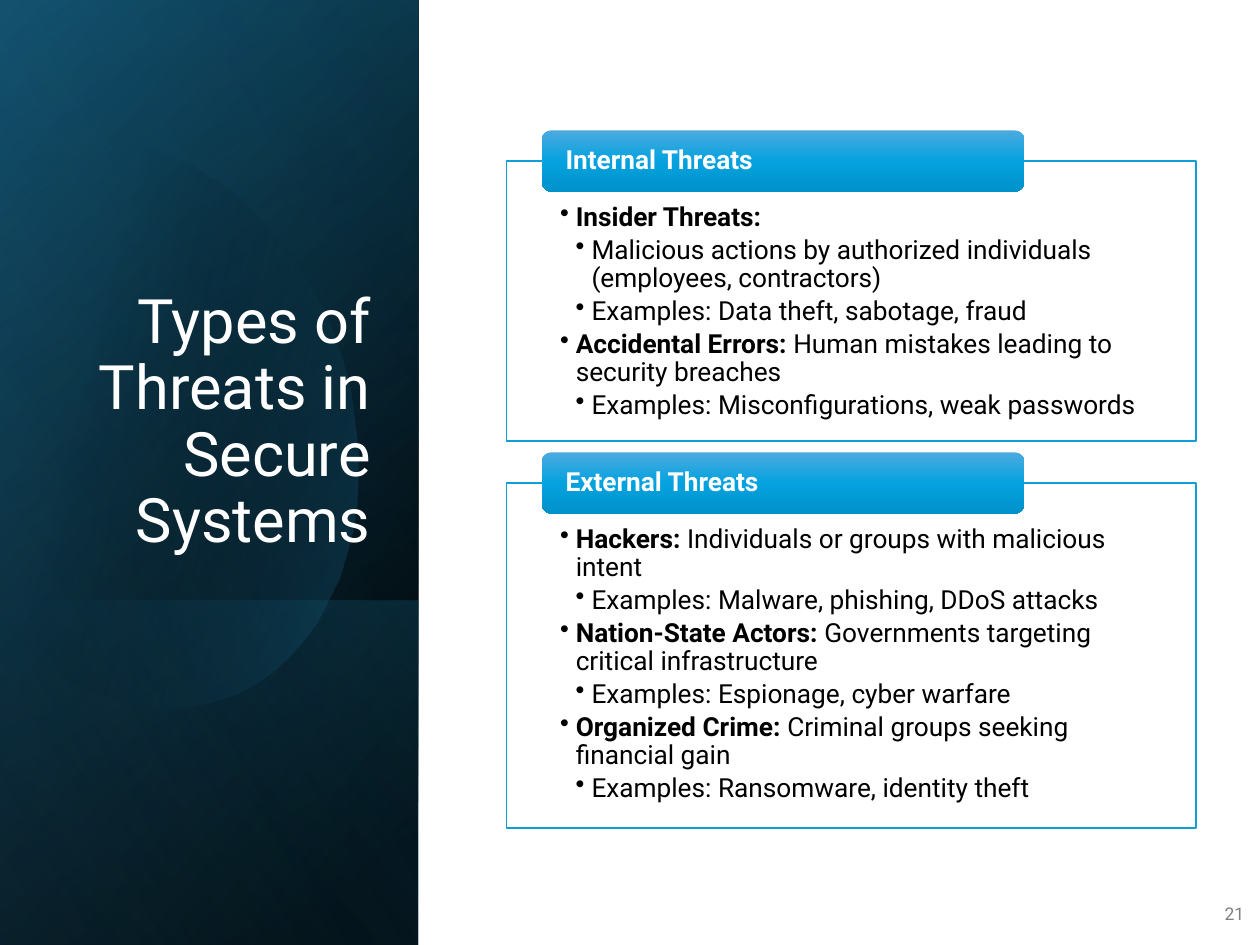
from dataclasses import dataclass

from pptx import Presentation
from pptx.dml import color as c
from pptx.enum import shapes as s, text as t
from pptx.oxml import ns, xmlchemy as x
from pptx.util import Pt

WHITE = c.RGBColor(0xFF, 0xFF, 0xFF)
BLACK = c.RGBColor(0x00, 0x00, 0x00)
GRAY = c.RGBColor(0x80, 0x80, 0x80)
SKY = c.RGBColor(0x0F, 0x9E, 0xD5)
NAVY = c.RGBColor(0x10, 0x48, 0x62)
TEAL = c.RGBColor(0x15, 0x60, 0x82)
AQUA = c.RGBColor(0x46, 0xB1, 0xE1)
LIGHT = c.RGBColor(0x4C, 0xAA, 0xDF)
BLUE = c.RGBColor(0x05, 0xA2, 0xDF)
DEEP = c.RGBColor(0x00, 0x92, 0xCB)
FACE = "Roboto"


@dataclass(frozen=True)
class Stop:
    pos: int
    color: c.RGBColor
    alpha: int = 100


@dataclass(frozen=True)
class Layer:
    top: float
    high: float
    angle: int
    stops: tuple[Stop, ...]


@dataclass(frozen=True)
class Item:
    level: int
    bold: str
    plain: str


@dataclass(frozen=True)
class Card:
    top: float
    high: float
    title: str
    items: tuple[Item, ...]


WIDE, HIGH, SIDE = 720, 540, 239
LAYERS = (
    Layer(0, HIGH, 50, (Stop(8, BLACK), Stop(100, NAVY))),
    Layer(0, HIGH, 30, (Stop(0, BLACK, 0), Stop(99, TEAL, 46))),
    Layer(343, 197, 130, (Stop(2, TEAL, 29), Stop(100, BLACK, 30))),
)
GLOSS = Layer(0, HIGH, 120, (Stop(0, BLACK, 0), Stop(99, AQUA, 11)))
GLOW = (Stop(29, BLACK, 0), Stop(100, TEAL, 43))
TAB = (Stop(0, LIGHT), Stop(50, BLUE), Stop(100, DEEP))
CURVES = (
    ((69, 82), (123, 88), (176, 138), (197, 209)),
    ((197, 209), (221, 297), (189, 382), (123, 401)),
    ((123, 401), (82, 413), (38, 396), (5, 360)),
    ((0, 111), (9, 97), (20, 89), (32, 85)),
    ((32, 85), (45, 81), (57, 80), (69, 82)),
)
CARDS = (
    Card(92, 160, "Internal Threats", (
        Item(0, "Insider Threats:", ""),
        Item(1, "", "Malicious actions by authorized individuals (employees, contractors)"),
        Item(1, "", "Examples: Data theft, sabotage, fraud"),
        Item(0, "Accidental Errors:", " Human mistakes leading to security breaches"),
        Item(1, "", "Examples: Misconfigurations, weak passwords"),
    )),
    Card(276, 197, "External Threats", (
        Item(0, "Hackers:", " Individuals or groups with malicious intent"),
        Item(1, "", "Examples: Malware, phishing, DDoS attacks"),
        Item(0, "Nation-State Actors:", " Governments targeting critical infrastructure"),
        Item(1, "", "Examples: Espionage, cyber warfare"),
        Item(0, "Organized Crime:", " Criminal groups seeking financial gain"),
        Item(1, "", "Examples: Ransomware, identity theft"),
    )),
)


def add(node, tag: str, **attrs):
    kid = x.OxmlElement(tag)
    for key, val in attrs.items():
        kid.set(key, str(val))
    node.append(kid)
    return kid


def shade(shape, stops: tuple[Stop, ...], angle: int) -> None:
    shape.shadow.inherit = False
    shape.line.fill.background()
    shape.fill.background()
    grad = x.OxmlElement("a:gradFill")
    grad.set("rotWithShape", "1")
    group = add(grad, "a:gsLst")
    for stop in stops:
        mark = add(group, "a:gs", pos=stop.pos * 1000)
        tint = add(mark, "a:srgbClr", val=stop.color)
        if stop.alpha < 100:
            add(tint, "a:alpha", val=stop.alpha * 1000)
    add(grad, "a:lin", ang=angle * 60000, scaled=0)
    prop = shape._element.spPr
    prop.replace(prop.find(ns.qn("a:noFill")), grad)


def draw_layer(slide, layer: Layer) -> None:
    shift = (SIDE - layer.high) / 2
    shape = slide.shapes.add_shape(
        s.MSO_SHAPE.RECTANGLE, Pt(shift), Pt(layer.top - shift), Pt(layer.high), Pt(SIDE))
    shape.rotation = 90
    shape._element.spPr.find(ns.qn("a:xfrm")).set("flipH", "1")
    shade(shape, layer.stops, layer.angle)


def trace(curve: tuple, steps: int = 16) -> list[tuple[float, float]]:
    dots = []
    for step in range(steps + 1):
        k = step / steps
        parts = ((1 - k) ** 3, 3 * k * (1 - k) ** 2, 3 * k * k * (1 - k), k ** 3)
        dots.append(tuple(sum(p * dot[axis] for p, dot in zip(parts, curve)) for axis in (0, 1)))
    return dots


def draw_glow(slide) -> None:
    dots = [dot for curve in CURVES[:3] for dot in trace(curve)]
    dots.append((0, 354))
    dots += [dot for curve in CURVES[3:] for dot in trace(curve)]
    path = slide.shapes.build_freeform(*dots[0], scale=Pt(1))
    path.add_line_segments(dots[1:], close=True)
    shade(path.convert_to_shape(), GLOW, 14)


def style(para, size: float, color: c.RGBColor, align=t.PP_ALIGN.LEFT) -> None:
    para.alignment = align
    font = para.font
    font.name, font.size, font.color.rgb = FACE, Pt(size), color


def set_box(frame, left: float, top: float, right: float, low: float, anchor) -> None:
    frame.word_wrap = True
    frame.margin_left, frame.margin_top = Pt(left), Pt(top)
    frame.margin_right, frame.margin_bottom = Pt(right), Pt(low)
    frame.vertical_anchor = anchor


def draw_label(slide, box: tuple, words: str, size: float, color: c.RGBColor, anchor) -> None:
    frame = slide.shapes.add_textbox(*map(Pt, box)).text_frame
    set_box(frame, 7.2, 3.6, 7.2, 3.6, anchor)
    para = frame.paragraphs[0]
    para.text = words
    para.line_spacing = 0.9
    style(para, size, color, t.PP_ALIGN.RIGHT)


def fill_item(para, item: Item) -> None:
    prop = para._p.get_or_add_pPr()
    prop.set("marL", str(Pt(9 * (item.level + 1))))
    prop.set("indent", str(Pt(-9)))
    add(prop, "a:buChar", char="•")
    para.level = item.level
    para.line_spacing = 0.9
    para.space_after = Pt(2.5)
    style(para, 15, BLACK)
    for words, bold in ((item.bold, True), (item.plain, False)):
        if words:
            run = para.add_run()
            run.text, run.font.bold = words, bold


def draw_card(slide, card: Card) -> None:
    body = slide.shapes.add_shape(
        s.MSO_SHAPE.RECTANGLE, Pt(289.5), Pt(card.top), Pt(394), Pt(card.high))
    body.shadow.inherit = False
    body.fill.solid()
    body.fill.fore_color.rgb = WHITE
    body.line.color.rgb = SKY
    body.line.width = Pt(1)
    frame = body.text_frame
    set_box(frame, 30.5, 24.5, 30.5, 8.5, t.MSO_ANCHOR.TOP)
    for index, item in enumerate(card.items):
        fill_item(frame.add_paragraph() if index else frame.paragraphs[0], item)

    head = slide.shapes.add_shape(
        s.MSO_SHAPE.ROUNDED_RECTANGLE, Pt(309.5), Pt(card.top - 17.5), Pt(276), Pt(35))
    shade(head, TAB, 90)
    set_box(head.text_frame, 12, 0, 12, 0, t.MSO_ANCHOR.MIDDLE)
    para = head.text_frame.paragraphs[0]
    para.text = card.title
    para.line_spacing = 0.9
    style(para, 15, WHITE)
    para.font.bold = True


def main() -> None:
    deck = Presentation()
    deck.slide_width, deck.slide_height = Pt(WIDE), Pt(HIGH)
    slide = deck.slides.add_slide(deck.slide_layouts[6])
    for layer in LAYERS:
        draw_layer(slide, layer)
    draw_glow(slide)
    draw_layer(slide, GLOSS)
    draw_label(slide, (34.5, 132.5, 184.5, 188.5), "Types of Threats in Secure Systems",
               35, WHITE, t.MSO_ANCHOR.BOTTOM)
    draw_label(slide, (691, 508.5, 27, 29), "21", 10, GRAY, t.MSO_ANCHOR.MIDDLE)
    for card in CARDS:
        draw_card(slide, card)
    deck.save("out.pptx")


if __name__ == "__main__":
    main()
